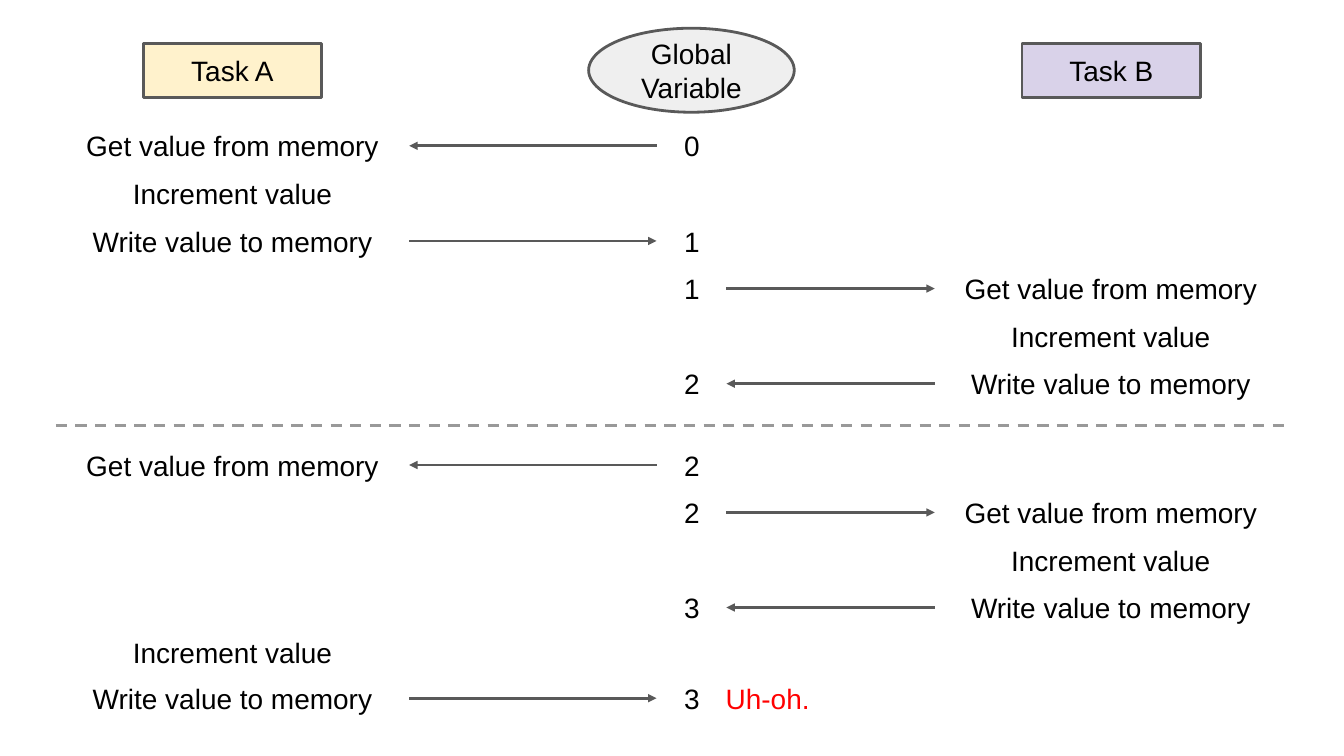
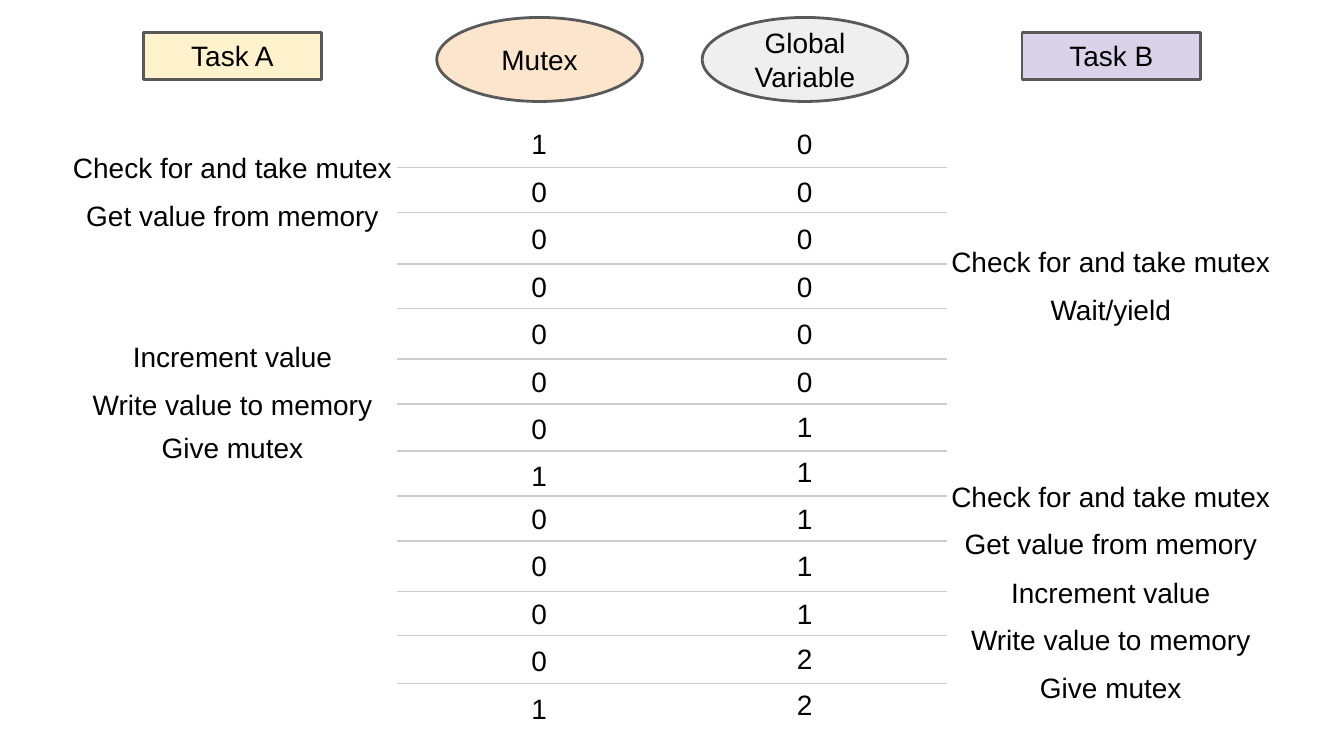
import pptx
import pptx.dml.color
import pptx.enum.dml
import pptx.enum.shapes
import pptx.enum.text
import pptx.oxml.ns
import pptx.util
from lxml import etree

Inches = pptx.util.Inches
RGBColor = pptx.dml.color.RGBColor
SHAPE = pptx.enum.shapes.MSO_SHAPE
ALIGN = pptx.enum.text.PP_ALIGN
ANCHOR = pptx.enum.text.MSO_ANCHOR
qn = pptx.oxml.ns.qn

BLACK = RGBColor(0x00, 0x00, 0x00)
RED = RGBColor(0xFF, 0x00, 0x00)
OUTLINE = RGBColor(0x59, 0x59, 0x59)
DIVIDER = RGBColor(0x99, 0x99, 0x99)
RULE = RGBColor(0xCC, 0xCC, 0xCC)
YELLOW = RGBColor(0xFF, 0xF2, 0xCC)
PURPLE = RGBColor(0xD9, 0xD2, 0xE9)
GREY = RGBColor(0xEF, 0xEF, 0xEF)
ORANGE = RGBColor(0xFC, 0xE5, 0xCD)

FONT = {"name": "Arial", "size": pptx.util.Pt(30)}
FRAME = {side: Inches(0.1) for side in
         ("margin_left", "margin_right", "margin_top", "margin_bottom")}
FRAME["word_wrap"] = True

STEP_LEFT = {"A": 0.83, "B": 13.9}
STEP_WIDTH, VALUE_WIDTH, ROW_HEIGHT = 5.26, 1.05, 0.7
ARROW_ENDS = {"A": (9.77, 6.09), "B": (10.81, 13.91)}
COUNTER_LEFT = 9.77

CHECK = "Check for and take mutex"
GET = "Get value from memory"
INCREMENT = "Increment value"
WRITE = "Write value to memory"
GIVE = "Give mutex"
WAIT = "Wait/yield"


def set_all(obj, values):
    for name, value in values.items():
        setattr(obj, name, value)


def spread(first, last, count):
    return [first + (last - first) * i / (count - 1) for i in range(count)]


def write_text(sp, text, color=BLACK, align=ALIGN.CENTER, **frame):
    tf = sp.text_frame
    set_all(tf, {**FRAME, **frame})
    p = tf.paragraphs[0]
    p.alignment = align
    r = p.add_run()
    r.text = text
    set_all(r.font, FONT)
    r.font.color.rgb = color


def add_label(slide, text, left, top, width, **style):
    sp = slide.shapes.add_textbox(Inches(left), Inches(top), Inches(width), Inches(ROW_HEIGHT))
    write_text(sp, text, vertical_anchor=ANCHOR.TOP,
               auto_size=pptx.enum.text.MSO_AUTO_SIZE.SHAPE_TO_FIT_TEXT, **style)


def add_header(slide, kind, text, fill, left, top, width, height):
    sp = slide.shapes.add_shape(kind, Inches(left), Inches(top), Inches(width), Inches(height))
    sp.shadow.inherit = False
    sp.fill.solid()
    sp.fill.fore_color.rgb = fill
    sp.line.color.rgb = OUTLINE
    sp.line.width = pptx.util.Pt(3)
    write_text(sp, text, vertical_anchor=ANCHOR.MIDDLE)


def add_tasks(slide, top, height):
    for text, fill, left in (("Task A", YELLOW, 2.13), ("Task B", PURPLE, 15.21)):
        add_header(slide, SHAPE.RECTANGLE, text, fill, left, top, 2.66, height)


def add_state(slide, text, fill, left, top):
    add_header(slide, SHAPE.OVAL, text, fill, left, top, 3.06, 1.25)


def add_line(slide, x1, x2, y, color, width=3, arrow=False, dashed=False):
    cn = slide.shapes.add_connector(pptx.enum.shapes.MSO_CONNECTOR.STRAIGHT,
                                    Inches(x1), Inches(y), Inches(x2), Inches(y))
    cn.line.color.rgb = color
    cn.line.width = pptx.util.Pt(width)
    if dashed:
        cn.line.dash_style = pptx.enum.dml.MSO_LINE.DASH
    spPr = cn._element.spPr
    if arrow:
        etree.SubElement(spPr.find(qn("a:ln")), qn("a:tailEnd"), type="triangle")
    etree.SubElement(spPr, qn("a:effectLst"))


def add_step(slide, task, action, top):
    add_label(slide, action, STEP_LEFT[task], top, STEP_WIDTH)


def add_access(slide, task, action, top, value):
    add_label(slide, value, COUNTER_LEFT, top, VALUE_WIDTH)
    memory_x, task_x = ARROW_ENDS[task]
    ends = (memory_x, task_x) if action == GET else (task_x, memory_x)
    add_line(slide, *ends, top + ROW_HEIGHT / 2, OUTLINE, arrow=True)


def build_race(slide):
    add_tasks(slide, 0.65, 0.8)
    add_state(slide, "Global Variable", GREY, 8.76, 0.42)
    steps = [
        ("A", GET, "0"), ("A", INCREMENT, None), ("A", WRITE, "1"),
        ("B", GET, "1"), ("B", INCREMENT, None), ("B", WRITE, "2"),
        ("A", GET, "2"), ("B", GET, "2"), ("B", INCREMENT, None),
        ("B", WRITE, "3"), ("A", INCREMENT, None), ("A", WRITE, "3"),
    ]
    tops = spread(1.82, 5.36, 6) + spread(6.57, 8.69, 4) + [9.36, 10.04]
    for (task, action, value), top in zip(steps, tops):
        add_step(slide, task, action, top)
        if value:
            add_access(slide, task, action, top, value)
    add_line(slide, 0.83, 19.17, 6.33, DIVIDER, dashed=True)
    add_label(slide, "Uh-oh.", 10.7, tops[-1], 1.93, color=RED, align=ALIGN.LEFT)


def build_mutex(slide):
    add_state(slide, "Global Variable", GREY, 10.45, 0.26)
    add_state(slide, "Mutex", ORANGE, 6.5, 0.26)
    add_tasks(slide, 0.48, 0.7)
    for y in (2.49, 3.16, 3.93, 4.59, 5.34, 6.01, 6.71, 7.38, 8.05, 8.8, 9.46, 10.17):
        add_line(slide, 5.91, 14.09, y, RULE, width=1.5)
    mutex_tops = spread(1.79, 6.73, 8) + spread(7.36, 10.19, 5)
    variable_tops = mutex_tops[:6] + [6, 6.67, 7.36, 8.07, 8.78, 9.45, 10.13]
    columns = ((7.5, "1000000100001", mutex_tops), (11.45, "0000001111122", variable_tops))
    for left, values, tops in columns:
        for value, top in zip(values, tops):
            add_label(slide, value, left, top, VALUE_WIDTH)
    steps = [
        ("A", CHECK, 2.14), ("A", GET, 2.85),
        ("B", CHECK, 3.54), ("B", WAIT, 4.25),
        ("A", INCREMENT, 4.96), ("A", WRITE, 5.66), ("A", GIVE, 6.31),
        ("B", CHECK, 7.03), ("B", GET, 7.74), ("B", INCREMENT, 8.46),
        ("B", WRITE, 9.17), ("B", GIVE, 9.88),
    ]
    for step in steps:
        add_step(slide, *step)


def main():
    prs = pptx.Presentation()
    set_all(prs, {"slide_width": Inches(20), "slide_height": Inches(11.25)})
    for build in (build_race, build_mutex):
        build(prs.slides.add_slide(prs.slide_layouts[6]))
    prs.save("out.pptx")


if __name__ == "__main__":
    main()
